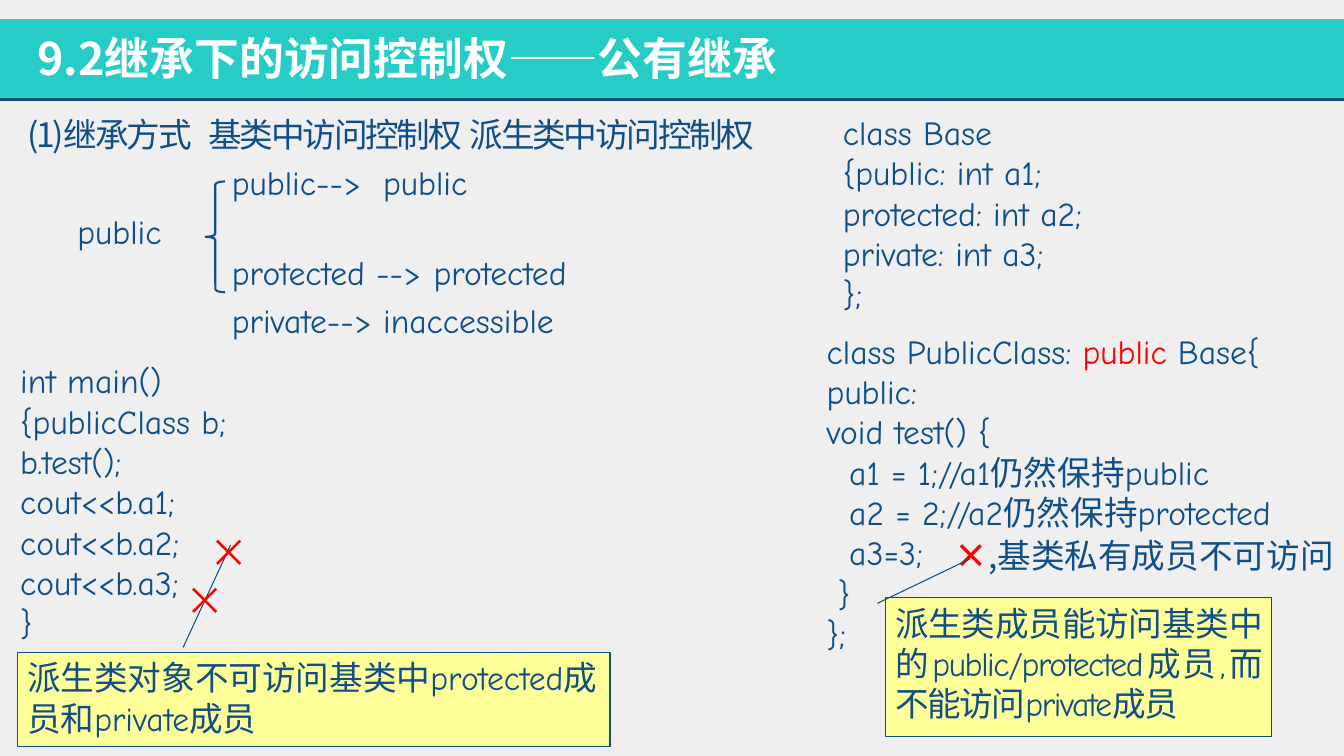
"""Build the slide on access control under public inheritance."""
from dataclasses import dataclass, field

from lxml.etree import SubElement
from pptx import Presentation
from pptx.dml.color import RGBColor
from pptx.enum.shapes import MSO_CONNECTOR, MSO_SHAPE
from pptx.enum.text import MSO_ANCHOR, MSO_AUTO_SIZE, PP_ALIGN
from pptx.oxml.ns import qn
from pptx.util import Inches, Pt


@dataclass(frozen=True)
class Theme:
    page: str = "EFEFEF"
    bar: str = "26CCC5"
    rule: str = "104D7E"
    ink: str = "104E87"
    white: str = "FFFFFF"
    red: str = "FF0000"
    note: str = "FFFF99"
    latin: str = "Comic Neue"
    heading: str = "Noto Sans CJK JP"
    cjk: str = "Noto Sans CJK SC"
    title_size: int = 32
    cross_size: int = 28
    text_size: int = 24


T = Theme()


@dataclass(frozen=True)
class Style:
    color: str = T.ink
    size: int = T.text_size
    latin: str = T.latin
    east: str = T.cjk
    bold: bool = False
    spacing: int = 0


@dataclass(frozen=True)
class Run:
    text: str
    style: Style = Style()


@dataclass(frozen=True)
class Para:
    runs: list[Run]
    before: int = 0
    tabs: tuple[float, ...] = ()
    align: PP_ALIGN = PP_ALIGN.LEFT


@dataclass(frozen=True)
class Block:
    at: tuple[float, float, float, float]
    paras: list[Para]
    frame: dict = field(default_factory=dict)


@dataclass(frozen=True)
class Callout:
    block: Block
    adjust: tuple[float, float, float, float]


def rgb(color: str) -> RGBColor:
    return RGBColor.from_string(color)


def box(at: tuple) -> list:
    return [Inches(v) for v in at]


def code(text: str) -> list[Para]:
    return [Para([Run(line)]) for line in text.split("\n")]


def add_run(p, run: Run) -> None:
    r, style = p.add_run(), run.style
    r.text = run.text
    for key, value in {"size": Pt(style.size), "bold": style.bold, "name": style.latin}.items():
        setattr(r.font, key, value)
    r.font.color.rgb = rgb(style.color)
    props = r._r.get_or_add_rPr()
    SubElement(props, qn("a:ea"), typeface=style.east)
    if style.spacing:
        props.set("spc", str(style.spacing))


def write(sp, block: Block) -> None:
    tf = sp.text_frame
    frame = {"word_wrap": True, "auto_size": MSO_AUTO_SIZE.NONE,
             "vertical_anchor": MSO_ANCHOR.TOP} | block.frame
    for key, value in frame.items():
        setattr(tf, key, value)
    for i, para in enumerate(block.paras):
        p = tf.add_paragraph() if i else tf.paragraphs[0]
        p.alignment, p.space_before = para.align, Pt(para.before)
        props = p._p.get_or_add_pPr()
        if sp.is_placeholder:
            props.set("marL", "0")
            props.set("indent", "0")
            SubElement(props, qn("a:buNone"))
        if para.tabs:
            stops = SubElement(props, qn("a:tabLst"))
            for tab in para.tabs:
                SubElement(stops, qn("a:tab"), pos=str(Inches(tab)), algn="l")
        for run in para.runs:
            add_run(p, run)


def fill_placeholder(sp, block: Block) -> None:
    sp.left, sp.top, sp.width, sp.height = box(block.at)
    write(sp, block)


def add_text(s, block: Block) -> None:
    write(s.shapes.add_textbox(*box(block.at)), block)


def add_shape(s, kind: MSO_SHAPE, at: tuple, fill: str = "", line: str = "", width: float = 0.75):
    sp = s.shapes.add_shape(kind, *box(at))
    sp.shadow.inherit = False
    for target, color in ((sp.fill, fill), (sp.line.fill, line)):
        if color:
            target.solid()
            target.fore_color.rgb = rgb(color)
        else:
            target.background()
    if line:
        sp.line.width = Pt(width)
    return sp


def add_callout(s, callout: Callout) -> None:
    sp = add_shape(s, MSO_SHAPE.LINE_CALLOUT_1, callout.block.at, T.note, T.ink)
    for i, value in enumerate(callout.adjust):
        sp.adjustments[i] = value
    write(sp, callout.block)


def add_header(s) -> None:
    add_shape(s, MSO_SHAPE.RECTANGLE, (0, 0.19, 13.33, 0.8), T.bar)
    rule = s.shapes.add_connector(MSO_CONNECTOR.STRAIGHT, *box((0, 0.99, 13.33, 0.99)))
    rule.line.color.rgb, rule.line.width = rgb(T.rule), Pt(2)
    SubElement(rule.element.spPr, qn("a:effectLst"))
    title = s.shapes.title
    fill_placeholder(title, TITLE)
    rule.element.addnext(title.element)


HEADING = Style(T.white, T.title_size, T.heading, T.heading, True)
COLUMNS = Style(latin=T.heading, east=T.heading, spacing=-160)
CROSS = Style(T.red, T.cross_size, T.heading, T.heading)
BOLD_CROSS = Style(T.red, T.text_size, T.heading, T.heading, True)
CENTERED = dict.fromkeys(("margin_left", "margin_top", "margin_right", "margin_bottom"), 0)
CENTERED["vertical_anchor"] = MSO_ANCHOR.MIDDLE

TITLE = Block((0.27, 0.25, 9.23, 0.64), [Para([Run("9.2继承下的访问控制权——公有继承", HEADING)])])
ACCESS = Block((2.2, 1.56, 4.73, 1.95), [
    Para([Run("public-->\tpublic")], tabs=(2.73,)),
    Para([Run("protected -->\tprotected")], before=35, tabs=(2.32,)),
    Para([Run("private-->\tinaccessible")], before=6, tabs=(2.39,)),
])
DERIVED = [Para([Run("class PublicClass: "), Run("public", Style(T.red)), Run(" Base{")])] + code(
    "public:\nvoid test() {\n  a1 = 1;//a1仍然保持public\n"
    "  a2 = 2;//a2仍然保持protected\n  a3=3;\n }\n};")
TEXTS = [
    Block((0.52, 2.04, 1.33, 0.5), [Para([Run("public")], align=PP_ALIGN.CENTER)]),
    Block((0.17, 1.08, 8.03, 0.5), [
        Para([Run("(1)继承方式\t基类中访问控制权\t派生类中访问控制权", COLUMNS)], tabs=(1.8, 4.39))]),
    Block((8.36, 1.08, 3.05, 2.06), code(
        "class Base\n{public: int a1;\nprotected: int a2;\nprivate: int a3;\n};"), CENTERED),
    Block((8.2, 3.42, 5.13, 2.92), DERIVED, CENTERED),
    Block((9.37, 5.26, 4.07, 0.5), [
        Para([Run("×", BOLD_CROSS), Run(",基类私有成员不可访问", Style(latin=T.cjk))])],
        {"word_wrap": False}),
    Block((0.2, 3.49, 3.31, 2.97), code(
        "int main()\n{publicClass b;\nb.test();\ncout<<b.a1;\ncout<<b.a2;\ncout<<b.a3;\n}"), CENTERED),
]
CALLOUTS = [
    Callout(Block((8.78, 5.93, 3.83, 1.38), [
        Para([Run("派生类成员能访问基类中的public/protected成员,而不能访问private成员",
                  Style(spacing=-100))], align=PP_ALIGN.JUSTIFY)]), (0.04, -0.02, -0.28, 0.22)),
    Callout(Block((0.17, 6.47, 5.88, 0.94), [
        Para([Run("派生类对象不可访问基类中protected成员和private成员")])]), (-0.05, 0.28, -1.13, 0.36)),
]
CROSSES = [(1.98, 5.19), (1.74, 5.67)]


def main() -> None:
    prs = Presentation()
    prs.slide_width, prs.slide_height = Inches(13.33), Inches(7.5)
    s = prs.slides.add_slide(prs.slide_layouts[1])
    s.background.fill.solid()
    s.background.fill.fore_color.rgb = rgb(T.page)
    add_header(s)
    fill_placeholder(s.placeholders[1], ACCESS)
    brace = add_shape(s, MSO_SHAPE.LEFT_BRACE, (2.04, 1.8, 0.19, 1.1), line=T.ink, width=1.5)
    brace.adjustments[0] = 0.16
    for block in TEXTS:
        add_text(s, block)
    for callout in CALLOUTS:
        add_callout(s, callout)
    for left, top in CROSSES:
        add_text(s, Block((left, top, 0.59, 0.57), [Para([Run("×", CROSS)])]))
    prs.save("out.pptx")


if __name__ == "__main__":
    main()
